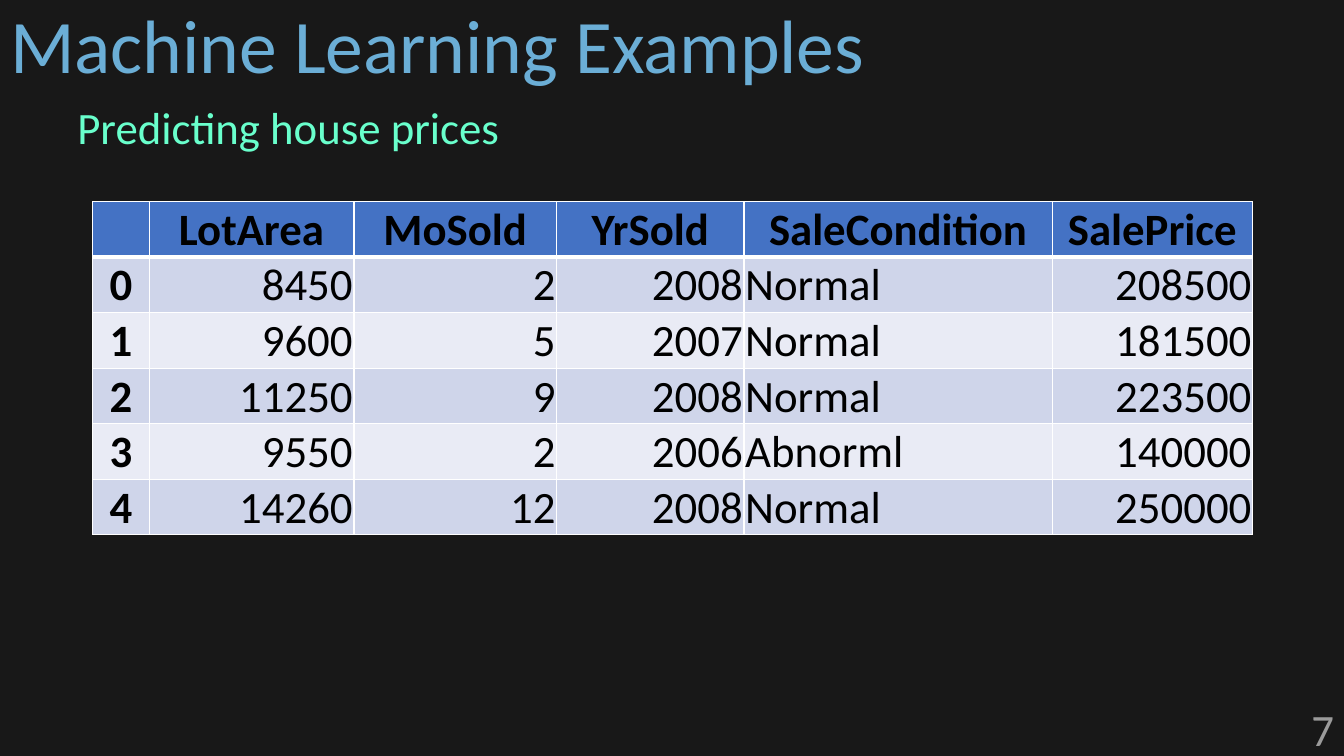
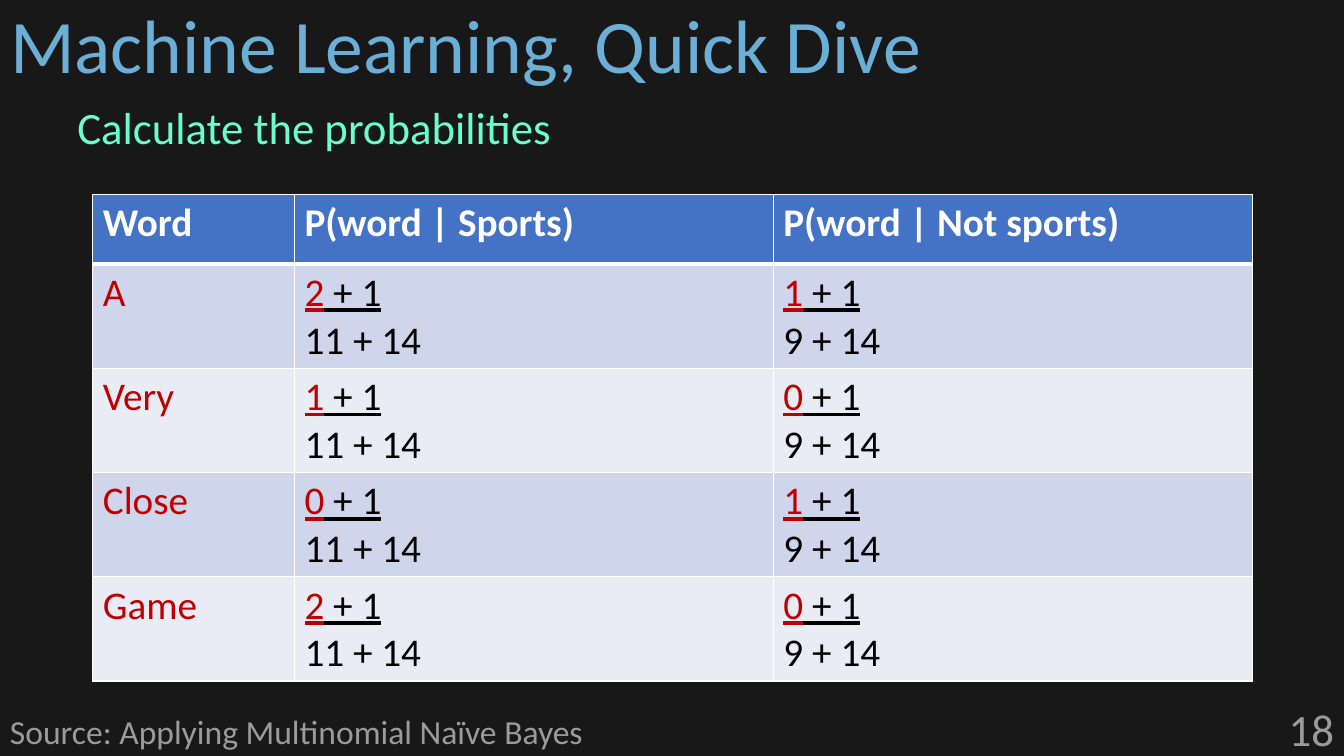
from pptx import Presentation
from pptx.dml.color import RGBColor
from pptx.enum.text import MSO_ANCHOR, MSO_AUTO_SIZE, PP_ALIGN
from pptx.oxml import parse_xml
from pptx.oxml.ns import nsdecls
from pptx.util import Cm, Pt

COLORS = {
    "background": "181818",
    "title": "6BAED6",
    "subtitle": "69FFCC",
    "footer": "9B9B9B",
    "header": "4472C4",
    "odd_row": "CFD5EA",
    "even_row": "E9EBF5",
    "light": "FFFFFF",
    "dark": "000000",
    "count": "C00000",
}
FONT = "Calibri"
TABLE_LEFT = 2.34


def write(frame, text, size, color, align=PP_ALIGN.LEFT, bold=False):
    frame.text = text
    frame.word_wrap = True
    for paragraph in frame.paragraphs:
        paragraph.alignment = align
        for run in paragraph.runs:
            run.font.name = FONT
            run.font.size = Pt(size)
            run.font.bold = bold
            run.font.color.rgb = RGBColor.from_string(COLORS[color])


def add_grid(slide, top, widths, heights):
    table = slide.shapes.add_table(
        len(heights), len(widths), Cm(TABLE_LEFT), Cm(top), Cm(sum(widths)), Cm(sum(heights))
    ).table
    for column, width in zip(table.columns, widths):
        column.width = Cm(width)
    for index, (row, height) in enumerate(zip(table.rows, heights)):
        row.height = Cm(height)
        band = "header" if index == 0 else "odd_row" if index % 2 else "even_row"
        points = {"L": 1, "R": 1, "T": 3 if index == 1 else 1, "B": 3 if index == 0 else 1}
        for cell in row.cells:
            properties = cell._tc.get_or_add_tcPr()
            for side, weight in points.items():
                properties.append(parse_xml(
                    f'<a:ln{side} {nsdecls("a")} w="{Pt(weight)}"><a:solidFill>'
                    f'<a:srgbClr val="{COLORS["light"]}"/></a:solidFill></a:ln{side}>'
                ))
            cell.fill.solid()
            cell.fill.fore_color.rgb = RGBColor.from_string(COLORS[band])
    return table


prs = Presentation()
prs.slide_width, prs.slide_height = Cm(33.87), Cm(19.05)
background = prs.slide_master.background.fill
background.solid()
background.fore_color.rgb = RGBColor.from_string(COLORS["background"])

headings = [
    ("Machine Learning Examples", "Predicting house prices", "7"),
    ("Machine Learning, Quick Dive", "Calculate the probabilities", "18"),
]
slides = []
for heading, topic, page in headings:
    slide = prs.slides.add_slide(prs.slide_layouts[5])
    slides.append(slide)

    title = slide.shapes.title
    title.left, title.top, title.width, title.height = Cm(0), Cm(0.08), Cm(29.21), Cm(1.8)
    write(title.text_frame, heading, 54, "title")
    title.text_frame.auto_size = MSO_AUTO_SIZE.NONE
    title.text_frame.vertical_anchor = MSO_ANCHOR.TOP
    title.text_frame.paragraphs[0].line_spacing = 0.9

    page_number = slide.shapes.add_textbox(Cm(26.25), Cm(17.75), Cm(7.62), Cm(1.24)).text_frame
    write(page_number, page, 32, "footer", PP_ALIGN.RIGHT)
    page_number.vertical_anchor = MSO_ANCHOR.MIDDLE

    subtitle = slide.shapes.add_textbox(Cm(1.7), Cm(2.54), Cm(17.12), Cm(1.4)).text_frame
    write(subtitle, topic, 32, "subtitle")
    subtitle.paragraphs[0].line_spacing = 0.9
    subtitle.paragraphs[0].space_before = Pt(10)

houses_slide, words_slide = slides

house_rows = [
    ("", "LotArea", "MoSold", "YrSold", "SaleCondition", "SalePrice"),
    ("0", "8450", "2", "2008", "Normal", "208500"),
    ("1", "9600", "5", "2007", "Normal", "181500"),
    ("2", "11250", "9", "2008", "Normal", "223500"),
    ("3", "9550", "2", "2006", "Abnorml", "140000"),
    ("4", "14260", "12", "2008", "Normal", "250000"),
]
houses = add_grid(
    houses_slide, 5.08, [1.42, 5.16, 5.11, 4.72, 7.77, 5.05], [1.4] * len(house_rows)
)
for r, values in enumerate(house_rows):
    for c, value in enumerate(values):
        cell = houses.cell(r, c)
        cell.margin_left = cell.margin_right = cell.margin_top = Cm(0.03)
        cell.margin_bottom = Cm(0)
        cell.vertical_anchor = MSO_ANCHOR.MIDDLE
        is_label = r == 0 or c == 0
        align = PP_ALIGN.CENTER if is_label else PP_ALIGN.LEFT if c == 4 else PP_ALIGN.RIGHT
        write(cell.text_frame, value, 32, "dark", align, is_label)

word_counts = [("A", 2, 1), ("Very", 1, 0), ("Close", 0, 1), ("Game", 2, 0)]
class_totals = (11, 9)
vocabulary = 14
words = add_grid(words_slide, 4.9, [5.08, 12.07, 12.07], [1.75] + [2.6] * len(word_counts))
for c, label in enumerate(("Word", "P(word | Sports)", "P(word | Not sports)")):
    write(words.cell(0, c).text_frame, label, 28, "light", bold=True)
for r, (word, *counts) in enumerate(word_counts, start=1):
    write(words.cell(r, 0).text_frame, word, 28, "count")
    for c, (count, total) in enumerate(zip(counts, class_totals), start=1):
        fraction = words.cell(r, c).text_frame
        write(fraction, f"{count}\n{total} + {vocabulary}", 28, "dark")
        numerator = fraction.paragraphs[0]
        numerator.add_run().text = " + 1"
        for run, color in zip(numerator.runs, ("count", "dark")):
            run.font.name = FONT
            run.font.size = Pt(28)
            run.font.underline = True
            run.font.color.rgb = RGBColor.from_string(COLORS[color])

source = words_slide.shapes.add_textbox(Cm(0), Cm(17.81), Cm(15.24), Cm(1.24)).text_frame
write(source, "Source: Applying Multinomial Naïve Bayes", 24, "footer")
source.vertical_anchor = MSO_ANCHOR.MIDDLE

prs.save("out.pptx")
